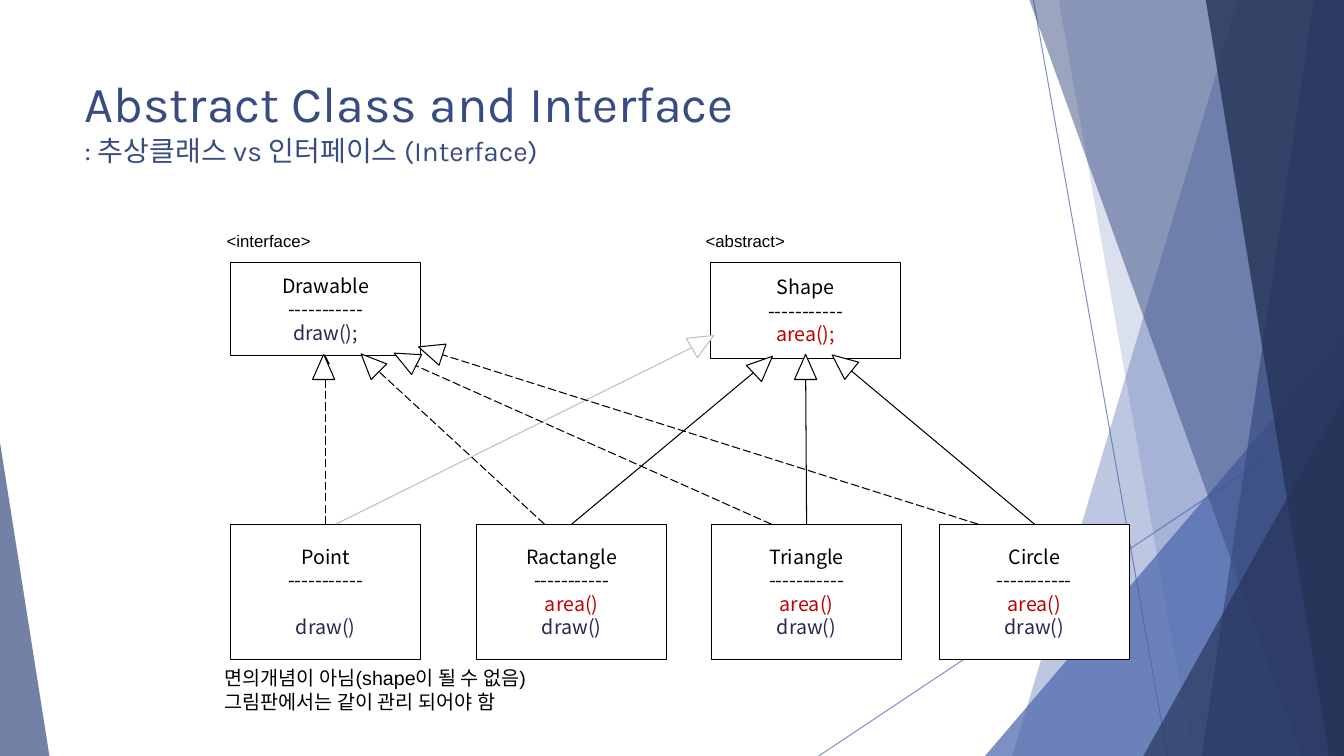
from dataclasses import dataclass

from lxml import etree
from pptx import Presentation
from pptx.dml.color import RGBColor
from pptx.enum.dml import MSO_LINE
from pptx.enum.shapes import MSO_CONNECTOR, MSO_SHAPE
from pptx.enum.text import MSO_ANCHOR, MSO_AUTO_SIZE, PP_ALIGN
from pptx.oxml.ns import qn
from pptx.util import Pt

PX = 9144
STRAIGHT = MSO_CONNECTOR.STRAIGHT
RECTANGLE = MSO_SHAPE.RECTANGLE
TRIANGLE = MSO_SHAPE.ISOSCELES_TRIANGLE
LONG_DASH = MSO_LINE.LONG_DASH
TOP, MIDDLE = MSO_ANCHOR.TOP, MSO_ANCHOR.MIDDLE
LEFT, CENTER = PP_ALIGN.LEFT, PP_ALIGN.CENTER
FIT, NO_FIT = MSO_AUTO_SIZE.SHAPE_TO_FIT_TEXT, MSO_AUTO_SIZE.NONE
TOP_SIDE, BOTTOM_SIDE = 0, 2


@dataclass(frozen=True)
class Theme:
    blue: str = "4A66AC"
    deep: str = "384C81"
    navy: str = "253356"
    draw: str = "242852"
    area: str = "C00000"
    black: str = "000000"
    white: str = "FFFFFF"
    gray: str = "BFBFBF"
    title_font: str = "Karla"
    class_font: str = "Noto Sans CJK KR"
    label_font: str = "Arial"
    title_size: int = 36
    subtitle_size: int = 20
    body_size: int = 14
    label_size: int = 12
    line_width: float = 0.75


THEME = Theme()


def px(*lengths):
    return [length * PX for length in lengths]


def set_alpha(color_format, element, percent):
    color = element.find(".//" + qn("a:srgbClr"))
    etree.SubElement(color, qn("a:alpha")).set("val", str(percent * 1000))


def paint(shape, color):
    shape.shadow.inherit = False
    shape.fill.solid()
    shape.fill.fore_color.rgb = RGBColor.from_string(color)


def paint_translucent(shape, color, percent):
    paint(shape, color)
    set_alpha(shape.fill, shape.fill._xPr, percent)
    shape.line.fill.background()


def outline(shape, color):
    shape.line.color.rgb = RGBColor.from_string(color)
    shape.line.width = Pt(THEME.line_width)


def set_font(font, name, size, color):
    font.name = name
    font.size = Pt(size)
    font.color.rgb = RGBColor.from_string(color)


def add_line(shapes, begin, end, color):
    line = shapes.add_connector(STRAIGHT, *px(*begin, *end))
    outline(line, color)
    etree.SubElement(line._element.spPr, qn("a:effectLst"))
    return line


def add_facets(shapes, width, height):
    for begin, end in (((1025, 0), (1158, height)), ((width, 403), (812, height))):
        line = add_line(shapes, begin, end, THEME.blue)
        set_alpha(line.line, line.line._ln, 70)

    def add_band(top_left, bottom_left, color, percent):
        builder = shapes.build_freeform(*px(top_left, 0))
        corners = ((width, 0), (width, height), (bottom_left, height))
        builder.add_line_segments([px(*corner) for corner in corners])
        paint_translucent(builder.convert_to_shape(), color, percent)

    def add_wedge(left, top, right, apex, color, percent):
        wedge = shapes.add_shape(TRIANGLE, *px(left, top, right - left, height - top))
        wedge.adjustments[0] = apex
        paint_translucent(wedge, color, percent)

    add_band(1228, 1004, THEME.blue, 36)
    add_band(1050, 1183, THEME.blue, 20)
    add_wedge(977, 333, width, 1, THEME.blue, 72)
    add_band(1021, 1291, THEME.deep, 50)
    add_band(1303, 1192, THEME.deep, 70)
    add_band(1196, 1318, THEME.navy, 80)
    add_wedge(1134, 393, width, 1, THEME.navy, 66)
    add_wedge(0, 439, 49, 0, THEME.deep, 70)


def add_title(slide, left, top, width, height):
    title = slide.shapes.title
    slide.shapes._spTree.append(title._element)
    title.left, title.top, title.width, title.height = px(left, top, width, height)
    frame = title.text_frame
    frame.vertical_anchor = TOP
    frame.auto_size = NO_FIT
    paragraph = frame.paragraphs[0]
    paragraph.alignment = LEFT
    heading = paragraph.add_run()
    heading.text = "Abstract Class and Interface"
    paragraph.add_line_break()
    subtitle = paragraph.add_run()
    subtitle.text = ": 추상클래스 vs 인터페이스 (Interface)"
    set_font(heading.font, THEME.title_font, THEME.title_size, THEME.deep)
    set_font(subtitle.font, THEME.title_font, THEME.subtitle_size, THEME.deep)


def add_class(shapes, left, top, width, height, name, methods, gap=0, fill=None):
    box = shapes.add_shape(RECTANGLE, *px(left, top, width, height))
    box.shadow.inherit = False
    if fill:
        paint(box, fill)
    else:
        box.fill.background()
    outline(box, THEME.black)
    frame = box.text_frame
    frame.word_wrap = True
    frame.vertical_anchor = MIDDLE
    frame.margin_left = frame.margin_right = frame.margin_top = frame.margin_bottom = 0
    rows = [(name, THEME.black), ("-" * 11, THEME.black)]
    rows += [(method, THEME.area if "area" in method else THEME.draw) for method in methods]
    for index, (text, color) in enumerate(rows):
        paragraph = frame.add_paragraph() if index else frame.paragraphs[0]
        paragraph.text = text
        paragraph.alignment = CENTER
        set_font(paragraph.font, THEME.class_font, THEME.body_size, color)
    if gap:
        paragraph.space_before = Pt(gap)
    return box


def add_label(shapes, left, top, width, height, lines, size):
    frame = shapes.add_textbox(*px(left, top, width, height)).text_frame
    frame.word_wrap = False
    frame.auto_size = FIT
    for index, text in enumerate(lines):
        paragraph = frame.add_paragraph() if index else frame.paragraphs[0]
        paragraph.text = text
        set_font(paragraph.font, THEME.label_font, size, THEME.black)


def add_relation(shapes, begin, end, head, angle, color, dashed):
    line = add_line(shapes, begin, end, color)
    if dashed:
        line.line.dash_style = LONG_DASH
    etree.SubElement(line.line._ln, qn("a:tailEnd")).set("type", "triangle")
    head_width, head_height = 22, 25
    arrow = shapes.add_shape(TRIANGLE, *px(
        head[0] - head_width / 2, head[1] - head_height / 2, head_width, head_height))
    arrow.rotation = angle
    paint(arrow, THEME.white)
    outline(arrow, color)
    return line


def add_diagram(shapes, left, top):
    width, child_top, child_height = 188, top + 296, 134
    both = ["area()", "draw()"]
    boxes = {}
    for name, x, methods, gap, fill in (
        ("Point", 16, ["draw()"], 17, None),
        ("Ractangle", 260, both, 0, None),
        ("Triangle", 493, both, 0, None),
        ("Circle", 719, both, 0, THEME.white),
    ):
        boxes[name] = add_class(
            shapes, left + x, child_top, width, child_height, name, methods, gap, fill)
    for name, x, height, method in (("Drawable", 16, 93, "draw();"), ("Shape", 492, 96, "area();")):
        boxes[name] = add_class(shapes, left + x, top + 36, width, height, name, [method])
    add_label(shapes, left + 2, top, 137, 38, ["<interface>"], THEME.label_size)
    add_label(shapes, left + 477, top, 130, 38, ["<abstract>"], THEME.label_size)
    add_label(shapes, left, top + 432, 350, 57, [
        "면의개념이 아님(shape이 될 수 없음)", "그림판에서는 같이 관리 되어야 함"], THEME.body_size)

    for x, end, head, angle, color, dashed, child, parent in (
        (120, (493, 111), (484, 115), 60, THEME.gray, False, None, None),
        (354, (552, 131), (544, 138), 47, THEME.black, False, "Ractangle", None),
        (587, (586, 131), (586, 140), 0, THEME.black, False, "Triangle", "Shape"),
        (813, (616, 131), (622, 136), 309, THEME.black, False, "Circle", None),
        (327, (148, 131), (154, 136), 315, THEME.black, True, None, None),
        (110, (109, 131), (108, 140), 0, THEME.black, True, "Point", "Drawable"),
        (552, (182, 131), (189, 132), 297, THEME.black, True, None, None),
        (757, (204, 121), (214, 124), 288, THEME.black, True, None, None),
    ):
        line = add_relation(
            shapes, (left + x, child_top), (left + end[0], top + end[1]),
            (left + head[0], top + head[1]), angle, color, dashed)
        if child:
            line.begin_connect(boxes[child], TOP_SIDE)
        if parent:
            line.end_connect(boxes[parent], BOTTOM_SIDE)


def main():
    presentation = Presentation()
    width, height = 1333, 750
    presentation.slide_width, presentation.slide_height = px(width, height)
    slide = presentation.slides.add_slide(presentation.slide_layouts[5])
    add_facets(slide.shapes, width, height)
    add_title(slide, 74, 67, 940, 144)
    add_diagram(slide.shapes, 213, 224)
    presentation.save("out.pptx")


if __name__ == "__main__":
    main()
